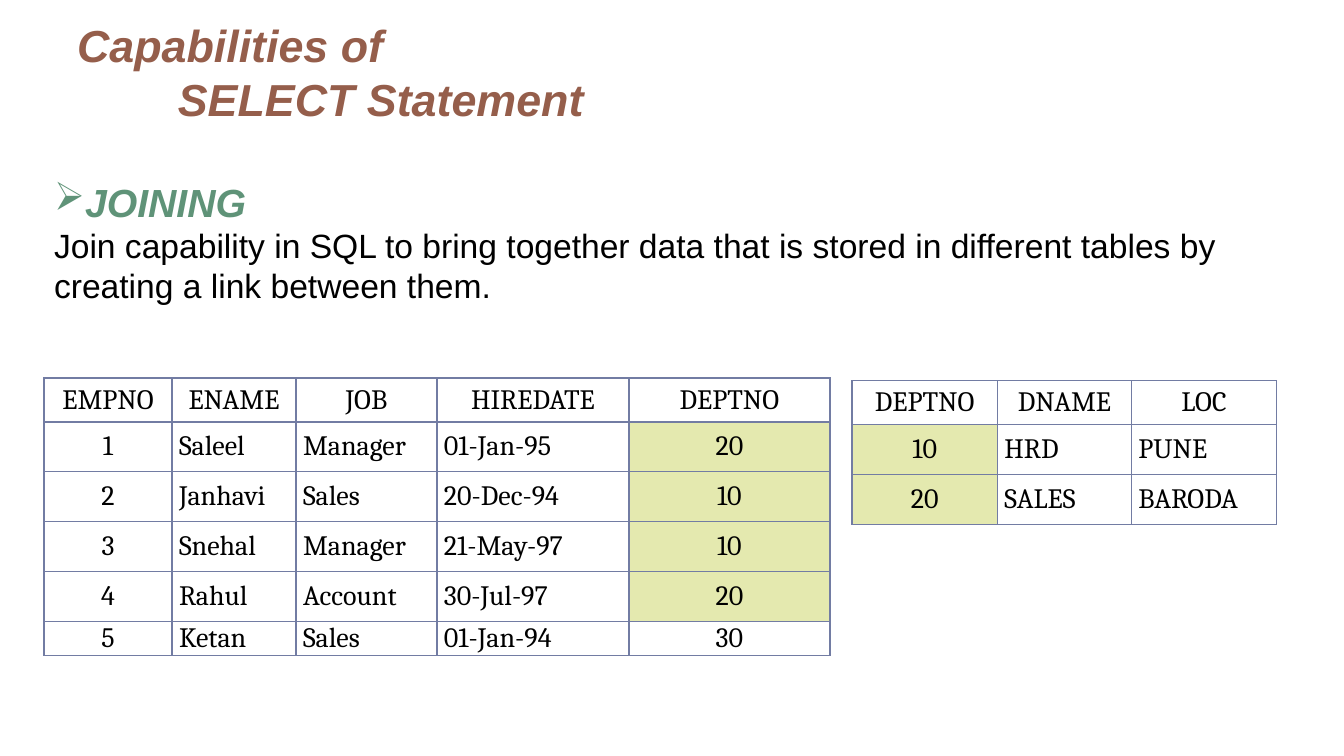
from lxml import etree
from pptx import Presentation
from pptx import util as u
from pptx.dml import color
from pptx.enum import text
from pptx.oxml import ns

EMPLOYEES = [
    ("EMPNO", "ENAME", "JOB", "HIREDATE", "DEPTNO"),
    ("1", "Saleel", "Manager", "01-Jan-95", "20"),
    ("2", "Janhavi", "Sales", "20-Dec-94", "10"),
    ("3", "Snehal", "Manager", "21-May-97", "10"),
    ("4", "Rahul", "Account", "30-Jul-97", "20"),
    ("5", "Ketan", "Sales", "01-Jan-94", "30"),
]
DEPARTMENTS = [
    ("DEPTNO", "DNAME", "LOC"),
    ("10", "HRD", "PUNE"),
    ("20", "SALES", "BARODA"),
]
LINKED = {row[0] for row in DEPARTMENTS[1:]}


def set_font(para, name, size, hex_color, strong=False):
    font = para.font
    font.name, font.size = name, u.Pt(size)
    font.bold = font.italic = strong
    font.color.rgb = color.RGBColor.from_string(hex_color)


def add_text_box(page, left, top, width, height, anchor):
    box = page.shapes.add_textbox(*map(u.Pt, (left, top, width, height)))
    frame = box.text_frame
    frame.word_wrap = True
    frame.vertical_anchor = anchor
    return frame


def add_title(page, left, top, width, height):
    frame = add_text_box(page, left, top, width, height, text.MSO_ANCHOR.BOTTOM)
    para = frame.paragraphs[0]
    para.text = "Capabilities of \v\t\tSELECT Statement"
    set_font(para, "Arial", 32, "955E4B", strong=True)


def add_joining_text(page, left, top, width, height):
    frame = add_text_box(page, left, top, width, height, text.MSO_ANCHOR.TOP)
    heading = frame.paragraphs[0]
    heading.text = "JOINING"
    heading.line_spacing = 2.0
    bullet = etree.SubElement(heading._p.get_or_add_pPr(), ns.qn("a:buChar"))
    bullet.set("char", "➢")
    set_font(heading, "Arial", 28, "5F9378", strong=True)
    detail = frame.add_paragraph()
    detail.text = ("Join capability in SQL to bring together data that is stored "
                   "in different tables by creating a link between them.")
    set_font(detail, "Arial", 24, "000000")


def add_borders(cell, hex_color):
    properties = cell._tc.get_or_add_tcPr()
    for side in ("lnL", "lnR", "lnT", "lnB"):
        line = etree.SubElement(properties, ns.qn(f"a:{side}"), w=str(u.Pt(1)))
        fill = etree.SubElement(line, ns.qn("a:solidFill"))
        etree.SubElement(fill, ns.qn("a:srgbClr"), val=hex_color)


def style_cell(cell, value, is_header, is_linked):
    add_borders(cell, "727CA3")
    if is_linked:
        cell.fill.solid()
        cell.fill.fore_color.rgb = color.RGBColor.from_string("E4E9AF")
    else:
        cell.fill.background()
    cell.margin_left = cell.margin_right = u.Pt(5)
    cell.margin_top = cell.margin_bottom = 0
    cell.vertical_anchor = text.MSO_ANCHOR.MIDDLE
    para = cell.text_frame.paragraphs[0]
    para.text = value
    if is_header or value.isdigit():
        para.alignment = text.PP_ALIGN.CENTER
    set_font(para, "Cambria", 20, "000000")


def add_data_table(page, left, top, records, widths, heights):
    frame = page.shapes.add_table(len(records), len(widths), u.Pt(left), u.Pt(top),
                                  u.Pt(sum(widths)), u.Pt(sum(heights)))
    table = frame.table
    table.first_row = table.horz_banding = False
    for column, width in zip(table.columns, widths):
        column.width = u.Pt(width)
    for row, height in zip(table.rows, heights):
        row.height = u.Pt(height)
    link_column = records[0].index("DEPTNO")
    for r, record in enumerate(records):
        for c, value in enumerate(record):
            is_linked = c == link_column and value in LINKED
            style_cell(table.cell(r, c), value, r == 0, is_linked)


def main():
    deck = Presentation()
    deck.slide_width, deck.slide_height = u.Pt(960), u.Pt(540)
    page = deck.slides.add_slide(deck.slide_layouts[6])
    add_joining_text(page, 31.5, 90, 907, 133)
    add_data_table(page, 31.5, 270, EMPLOYEES, [91.4, 88.6, 100.7, 137.1, 143.6],
                   [31.4] + [35.7] * 4 + [24])
    add_data_table(page, 608.5, 272, DEPARTMENTS, [104, 95.7, 103.6],
                   [31.4] + [35.7] * 2)
    add_title(page, 48, 21, 864, 72)
    deck.save("out.pptx")


if __name__ == "__main__":
    main()
